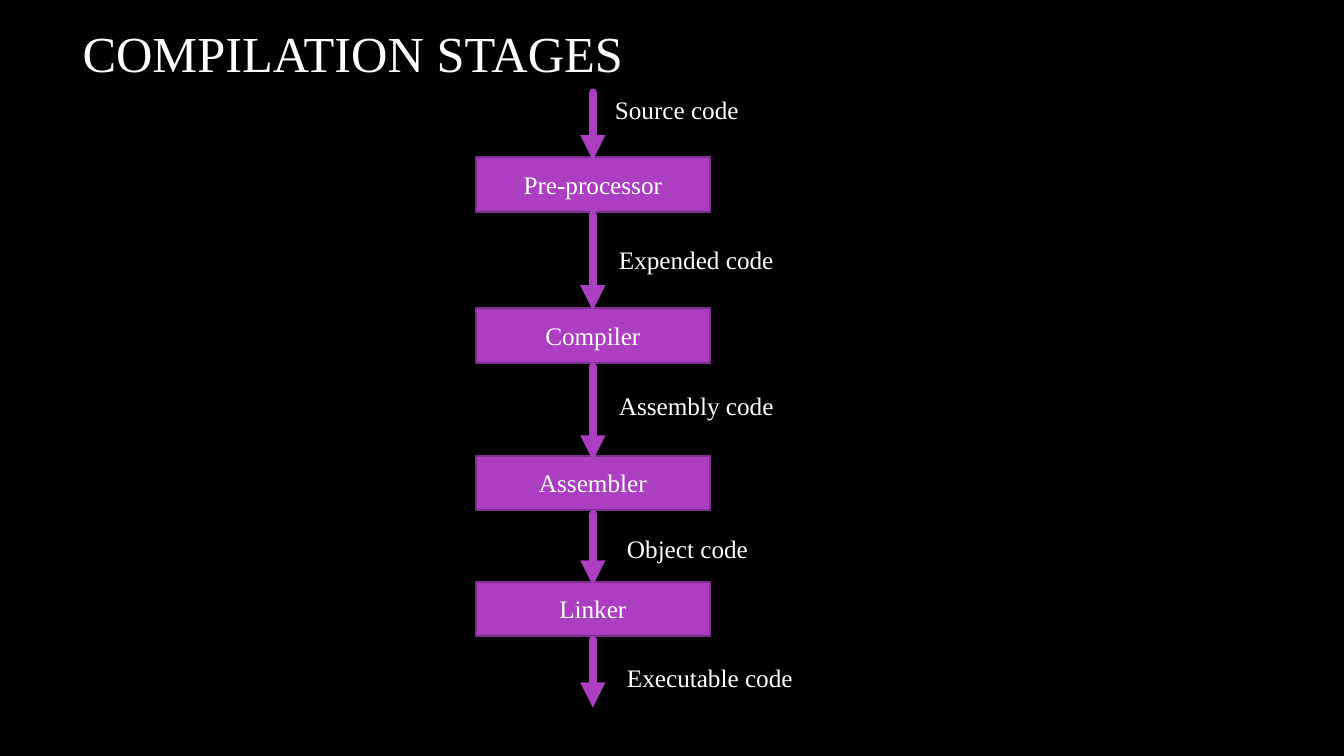
from lxml import etree
from pptx import Presentation
from pptx.dml.color import RGBColor
from pptx.enum.shapes import MSO_CONNECTOR, MSO_SHAPE
from pptx.enum.text import MSO_ANCHOR, PP_ALIGN
from pptx.oxml.ns import qn
from pptx.util import Inches, Pt

RECT, LINE = MSO_SHAPE.RECTANGLE, MSO_CONNECTOR.STRAIGHT
TOP, MIDDLE = MSO_ANCHOR.TOP, MSO_ANCHOR.MIDDLE
LEFT, CENTER = PP_ALIGN.LEFT, PP_ALIGN.CENTER
HEX = {"back": "000000", "text": "FFFFFF", "fill": "AC3EC1", "edge": "7F2E8F"}
COLOR = {name: RGBColor.from_string(code) for name, code in HEX.items()}


class Chart:
    """Draw flow chart parts on a slide grid of tenth-inch columns and rows."""

    cell = Inches(0.1)
    font = {"name": "Times New Roman", "size": Pt(18)}

    def __init__(self, slide):
        self.slide = slide
        back = slide.background.fill
        back.solid()
        back.fore_color.rgb = COLOR["back"]

    def grid(self, *units):
        return [round(unit * self.cell) for unit in units]

    def words(self, shape, text, align=LEFT, anchor=TOP, **style):
        frame = shape.text_frame
        frame.word_wrap = True
        frame.vertical_anchor = anchor
        para = frame.paragraphs[0]
        para.alignment = align
        run = para.add_run()
        run.text = text
        for key, value in {**self.font, **style}.items():
            setattr(run.font, key, value)
        run.font.color.rgb = COLOR["text"]

    def label(self, text, col, row, wide, high, **style):
        box = self.slide.shapes.add_textbox(*self.grid(col, row, wide, high))
        self.words(box, text, **style)

    def stage(self, text, col, row, wide, high):
        box = self.slide.shapes.add_shape(RECT, *self.grid(col, row, wide, high))
        box.shadow.inherit = False
        box.fill.solid()
        box.fill.fore_color.rgb = COLOR["fill"]
        box.line.color.rgb = COLOR["edge"]
        box.line.width = Pt(1.5)
        self.words(box, text, CENTER, MIDDLE)

    def arrow(self, col, start, end):
        line = self.slide.shapes.add_connector(LINE, *self.grid(col, start, col, end))
        line.line.color.rgb = COLOR["fill"]
        line.line.width = Pt(6)
        props = line.element.spPr
        stroke = props.find(qn("a:ln"))
        stroke.set("cap", "rnd")
        etree.SubElement(stroke, qn("a:tailEnd"), type="triangle")
        etree.SubElement(props, qn("a:effectLst"))


def main():
    deck = Presentation()
    deck.slide_width, deck.slide_height = Inches(13.33), Inches(7.5)
    chart = Chart(deck.slides.add_slide(deck.slide_layouts[6]))
    chart.label("COMPILATION STAGES", 7.2, 1, 110.8, 8.3, anchor=MIDDLE, size=Pt(36))

    left, wide, high = 47.2, 23.2, 5.4
    stages = [("Pre-processor", 15.6), ("Compiler", 30.6),
              ("Assembler", 45.2), ("Linker", 57.7)]
    for name, row in stages:
        chart.stage(name, left, row, wide, high)

    flows = [("Source code", 60, 8.9, 9.2, 15.9),
             ("Expended code", 60.4, 23.7, 21.3, 30.8),
             ("Assembly code", 60.4, 38.2, 36.4, 45.7),
             ("Object code", 61.2, 52.4, 51, 58.1),
             ("Executable code", 61.2, 65.2, 63.5, 70.2)]
    for name, col, row, start, end in flows:
        chart.arrow(left + wide / 2, start, end)
        chart.label(name, col, row, wide, 4)

    deck.save("out.pptx")


if __name__ == "__main__":
    main()
